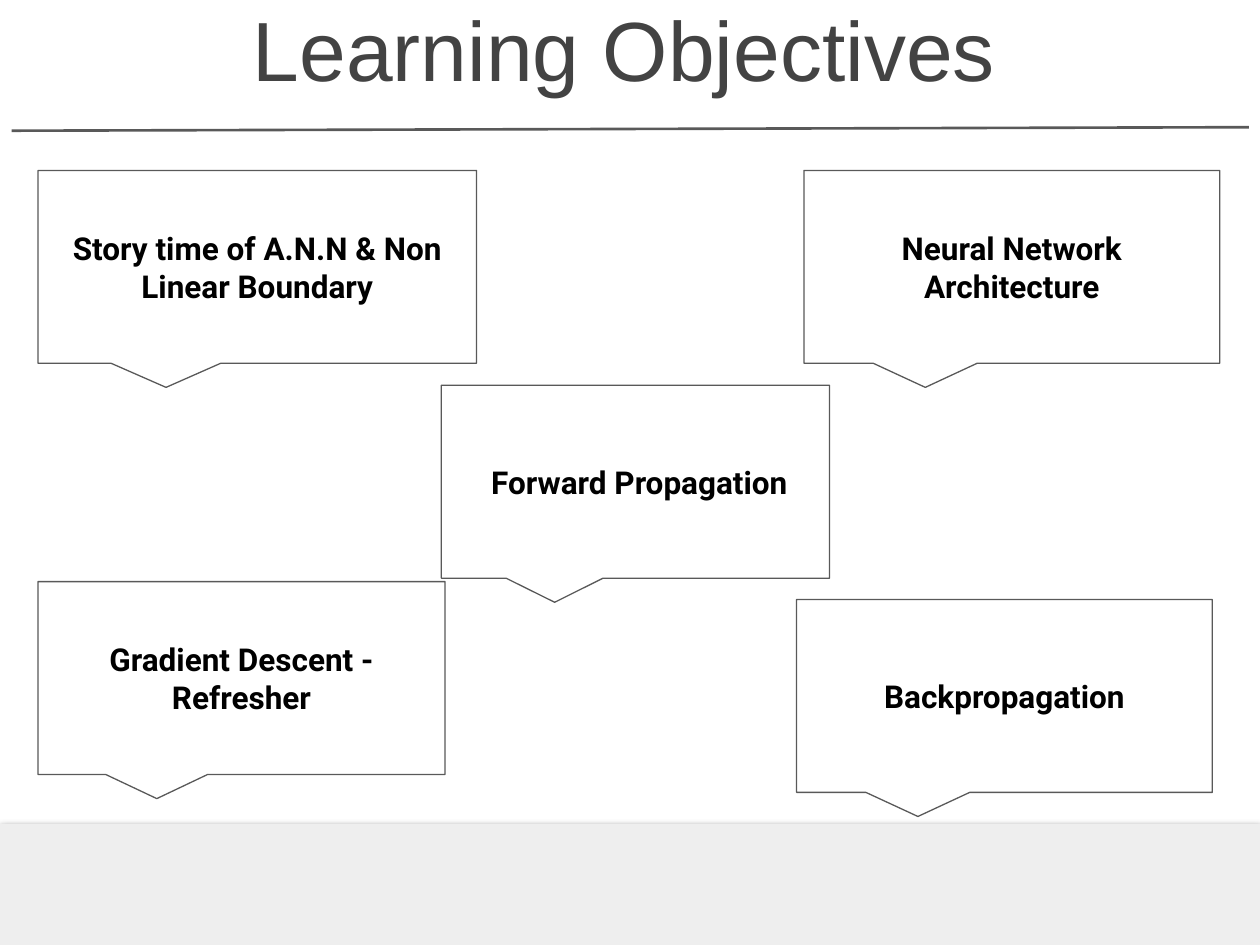
from lxml.etree import SubElement
from pptx import Presentation
from pptx.dml.color import RGBColor
from pptx.enum.shapes import MSO_CONNECTOR, MSO_SHAPE
from pptx.enum.text import MSO_ANCHOR, MSO_AUTO_SIZE, PP_ALIGN
from pptx.oxml import parse_xml
from pptx.oxml.ns import nsdecls, qn
from pptx.util import Pt

BLACK = RGBColor(0x00, 0x00, 0x00)
TITLE_GRAY = RGBColor(0x43, 0x43, 0x43)
LINE_GRAY = RGBColor(0x59, 0x59, 0x59)
BAND_GRAY = RGBColor(0xEE, 0xEE, 0xEE)
WHITE = RGBColor(0xFF, 0xFF, 0xFF)

SLIDE_WIDTH, SLIDE_HEIGHT = 720, 540
INSET = 7.2
CALLOUT_HEIGHT = 110.2
CALLOUT_POINTER = (-0.208, 0.625, 0)

OBJECTIVES = [
    ("Backpropagation", 455.2, 342.6, 237.6),
    ("Gradient Descent - Refresher", 21.7, 332.4, 232.6),
    ("Story time of A.N.N & Non Linear Boundary", 21.7, 97.4, 250.6),
    ("Neural Network Architecture", 459.4, 97.4, 237.6),
    (" Forward Propagation", 252.2, 220.2, 221.8),
]


def write_text(shape, text, anchor, font_name, size, color, bold):
    text_frame = shape.text_frame
    text_frame.text = text
    text_frame.word_wrap = True
    text_frame.auto_size = MSO_AUTO_SIZE.NONE
    text_frame.vertical_anchor = anchor
    text_frame.margin_left = text_frame.margin_right = Pt(INSET)
    text_frame.margin_top = text_frame.margin_bottom = Pt(INSET)
    paragraph = text_frame.paragraphs[0]
    paragraph.alignment = PP_ALIGN.CENTER
    font = paragraph.runs[0].font
    font.name = font_name
    font.size = Pt(size)
    font.bold = bold
    font.color.rgb = color


def add_header(slide, left, top, width, height):
    title = slide.shapes.title
    title.left, title.top = Pt(left + 87), Pt(top)
    title.width, title.height = Pt(width - 181), Pt(height - 11)
    write_text(title, "Learning Objectives", MSO_ANCHOR.BOTTOM, "Arial", 48, TITLE_GRAY, False)

    rule = slide.shapes.add_connector(
        MSO_CONNECTOR.STRAIGHT,
        Pt(left), Pt(top + height), Pt(left + width), Pt(top + height - 2))
    rule.line.color.rgb = LINE_GRAY
    rule.line.width = Pt(1.5)
    SubElement(rule._element.spPr, qn("a:effectLst"))


def add_footer_band(slide, left, top, width, height):
    band = slide.shapes.add_shape(
        MSO_SHAPE.RECTANGLE, Pt(left), Pt(top), Pt(width), Pt(height))
    band.fill.solid()
    band.fill.fore_color.rgb = BAND_GRAY
    band.line.fill.background()
    band._element.spPr.append(parse_xml(
        f'<a:effectLst {nsdecls("a")}>'
        f'<a:outerShdw blurRad="{Pt(4.5)}" dist="{Pt(1.5)}" dir="5400000" rotWithShape="0">'
        '<a:srgbClr val="000000"><a:alpha val="50000"/></a:srgbClr>'
        '</a:outerShdw></a:effectLst>'))


def add_objective(slide, text, left, top, width, height):
    callout = slide.shapes.add_shape(
        MSO_SHAPE.ROUNDED_RECTANGULAR_CALLOUT, Pt(left), Pt(top), Pt(width), Pt(height))
    for index, value in enumerate(CALLOUT_POINTER):
        callout.adjustments[index] = value
    callout.shadow.inherit = False
    callout.fill.background()
    callout.line.color.rgb = LINE_GRAY
    callout.line.width = Pt(0.75)
    write_text(callout, text, MSO_ANCHOR.MIDDLE, "Roboto", 18, BLACK, True)


def main():
    presentation = Presentation()
    presentation.slide_width = Pt(SLIDE_WIDTH)
    presentation.slide_height = Pt(SLIDE_HEIGHT)
    slide = presentation.slides.add_slide(presentation.slide_layouts[5])
    slide.background.fill.solid()
    slide.background.fill.fore_color.rgb = WHITE

    add_header(slide, 6.6, 13.5, 707, 61.2)
    add_footer_band(slide, 0, 470.8, SLIDE_WIDTH, 72.8)
    for text, left, top, width in OBJECTIVES:
        add_objective(slide, text, left, top, width, CALLOUT_HEIGHT)

    presentation.save("out.pptx")


if __name__ == "__main__":
    main()
